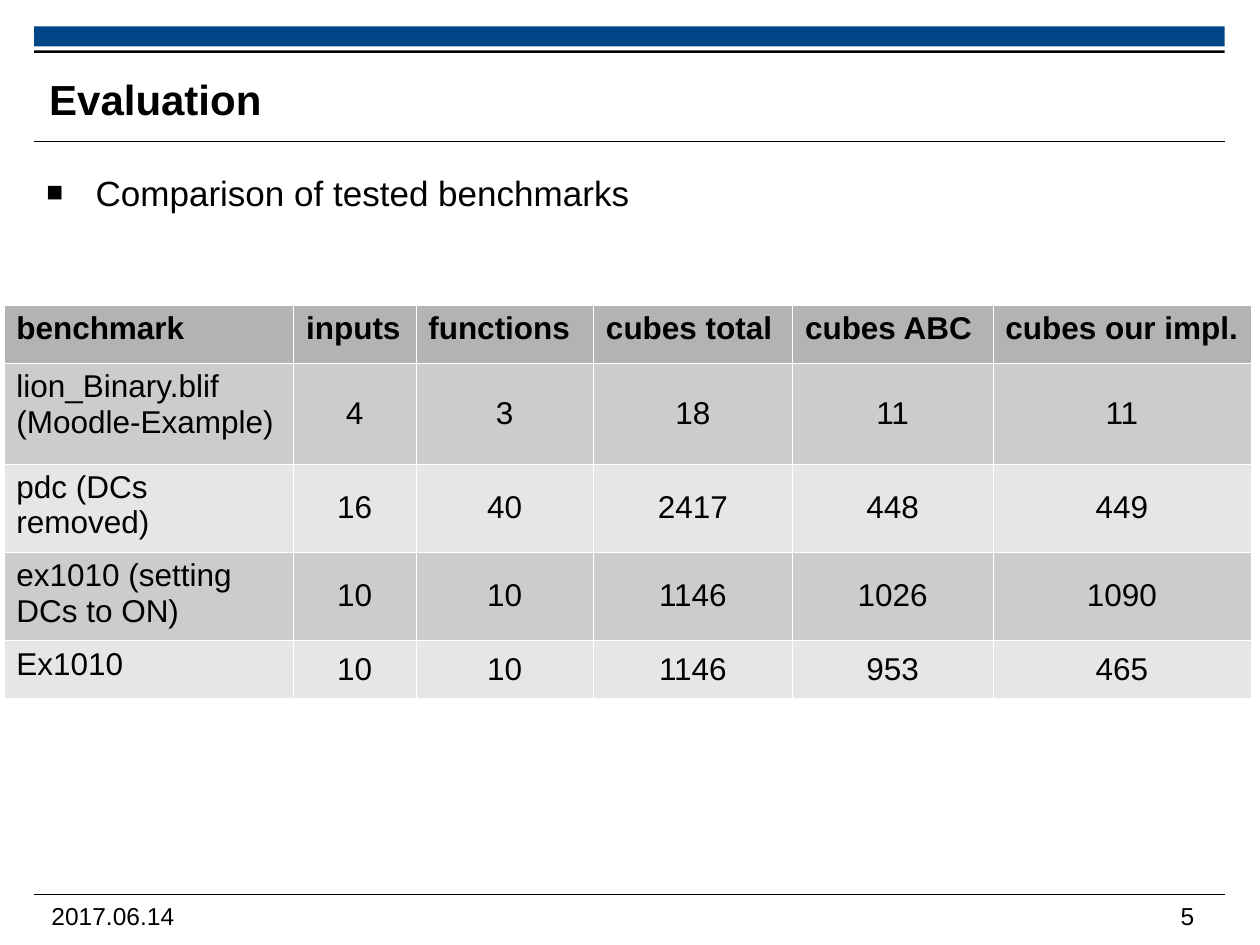
from dataclasses import dataclass

from lxml.etree import SubElement
from pptx import Presentation
from pptx.dml.color import RGBColor
from pptx.enum.shapes import MSO_CONNECTOR, MSO_SHAPE
from pptx.enum.text import MSO_ANCHOR, PP_ALIGN
from pptx.oxml.ns import qn
from pptx.util import Inches, Pt


@dataclass(frozen=True)
class Theme:
    font: str = "Arial"
    ink: str = "000000"
    blue: str = "004586"
    border: str = "FFFFFF"
    header: str = "B3B3B3"
    bands: tuple = ("CCCCCC", "E6E6E6")
    title: int = 24
    body: int = 20
    cell: int = 18
    footer: int = 14


THEME = Theme()
HEADERS = ["benchmark", "inputs", "functions", "cubes total", "cubes ABC", "cubes our impl."]
ROWS = [
    ["lion_Binary.blif\n(Moodle-Example)", "4", "3", "18", "11", "11"],
    ["pdc (DCs removed)", "16", "40", "2417", "448", "449"],
    ["ex1010 (setting DCs to ON)", "10", "10", "1146", "1026", "1090"],
    ["Ex1010", "10", "10", "1146", "953", "465"],
]
COL_WIDTHS = [2.3, 0.97, 1.41, 1.58, 1.59, 2.05]
ROW_HEIGHTS = [0.46, 0.8, 0.7, 0.7, 0.46]


def write(tf, text, size, bold=False, align=PP_ALIGN.LEFT, bullet=None, line_spacing=None):
    for i, line in enumerate(text.split("\n")):
        p = tf.paragraphs[0] if i == 0 else tf.add_paragraph()
        p.alignment = align
        if line_spacing:
            p.line_spacing = line_spacing
        if bullet:
            add_bullet(p, bullet)
        r = p.add_run()
        r.text = line
        r.font.name = THEME.font
        r.font.size = Pt(size)
        r.font.bold = bold
        r.font.color.rgb = RGBColor.from_string(THEME.ink)


def add_bullet(p, char):
    pPr = p._p.get_or_add_pPr()
    indent = Inches(0.39)
    pPr.set("marL", str(indent))
    pPr.set("indent", str(-indent))
    SubElement(SubElement(pPr, qn("a:buClr")), qn("a:srgbClr"), val=THEME.ink)
    SubElement(pPr, qn("a:buSzPct"), val="80000")
    SubElement(pPr, qn("a:buFont"), typeface=THEME.font)
    SubElement(pPr, qn("a:buChar"), char=char)


def add_text(s, box, text, size, insets=(0, 0, 0, 0), anchor=MSO_ANCHOR.TOP, wrap=True, **fmt):
    tf = s.shapes.add_textbox(*map(Inches, box)).text_frame
    tf.word_wrap = wrap
    tf.vertical_anchor = anchor
    tf.margin_left, tf.margin_top, tf.margin_right, tf.margin_bottom = map(Inches, insets)
    write(tf, text, size, **fmt)


def add_bar(s, box, color):
    sp = s.shapes.add_shape(MSO_SHAPE.RECTANGLE, *map(Inches, box))
    sp.shadow.inherit = False
    sp.fill.solid()
    sp.fill.fore_color.rgb = RGBColor.from_string(color)
    sp.line.fill.background()


def add_rule(s, left, top, width):
    ends = map(Inches, (left, top, left + width, top))
    line = s.shapes.add_connector(MSO_CONNECTOR.STRAIGHT, *ends)
    line.line.color.rgb = RGBColor.from_string(THEME.ink)
    line.line.width = Pt(0.6)
    SubElement(line._element.spPr, qn("a:effectLst"))


def add_header(s, box, title):
    left, top, width, height = box
    add_bar(s, (left, top, width, 0.16), THEME.blue)
    add_bar(s, (left, top + 0.19, width, 0.02), THEME.ink)
    add_rule(s, left, top + height, width)
    add_text(s, (left + 0.12, top + 0.17, 7.52, 0.8), title, THEME.title,
             anchor=MSO_ANCHOR.MIDDLE, bold=True)


def add_footer(s, box, date, number):
    left, top, width, height = box
    add_rule(s, left, top, width)
    add_text(s, (left + 0.04, top, 1.36, height), date, THEME.footer,
             insets=(0.1, 0.05, 0.1, 0.05), wrap=False)
    add_text(s, (left + 9.1, top + 0.06, 1.17, 0.23), number, THEME.footer,
             insets=(0, 0.01, 0, 0), line_spacing=0.93)


def add_body(s, box, text):
    add_text(s, box, text, THEME.body, insets=(0.1, 0.1, 0.1, 0.05), bullet="■")


def format_cell(cell, color):
    tcPr = cell._tc.get_or_add_tcPr()
    for side in ("lnL", "lnR", "lnT", "lnB"):
        ln = SubElement(tcPr, qn(f"a:{side}"), w=str(Pt(0.06)))
        SubElement(SubElement(ln, qn("a:solidFill")), qn("a:srgbClr"), val=THEME.border)
    cell.fill.solid()
    cell.fill.fore_color.rgb = RGBColor.from_string(color)
    cell.margin_left = cell.margin_right = Inches(0.1)
    cell.margin_top = cell.margin_bottom = Inches(0.05)


def add_benchmarks(s, box):
    data = [HEADERS] + ROWS
    table = s.shapes.add_table(len(data), len(HEADERS), *map(Inches, box)).table
    table.first_row = table.horz_banding = False
    for col, width in zip(table.columns, COL_WIDTHS):
        col.width = Inches(width)
    for i, (row, height, values) in enumerate(zip(table.rows, ROW_HEIGHTS, data)):
        row.height = Inches(height)
        color = THEME.bands[(i - 1) % 2] if i else THEME.header
        for j, (cell, value) in enumerate(zip(row.cells, values)):
            format_cell(cell, color)
            numeric = i > 0 and j > 0
            cell.vertical_anchor = MSO_ANCHOR.MIDDLE if numeric else MSO_ANCHOR.TOP
            write(cell.text_frame, value, THEME.cell, bold=i == 0,
                  align=PP_ALIGN.CENTER if numeric else PP_ALIGN.LEFT)


def main():
    prs = Presentation()
    prs.slide_width, prs.slide_height = Inches(10), Inches(7.5)
    s = prs.slides.add_slide(prs.slide_layouts[6])
    left, width = 0.27, 9.45
    add_header(s, (left, 0.21, width, 0.91), "Evaluation")
    add_footer(s, (left, 7.1, width, 0.4), "2017.06.14", "5")
    add_body(s, (left, 1.26, width, 5.8), "Comparison of tested benchmarks")
    add_benchmarks(s, (0.03, 2.42, sum(COL_WIDTHS), sum(ROW_HEIGHTS)))
    prs.save("out.pptx")


if __name__ == "__main__":
    main()
